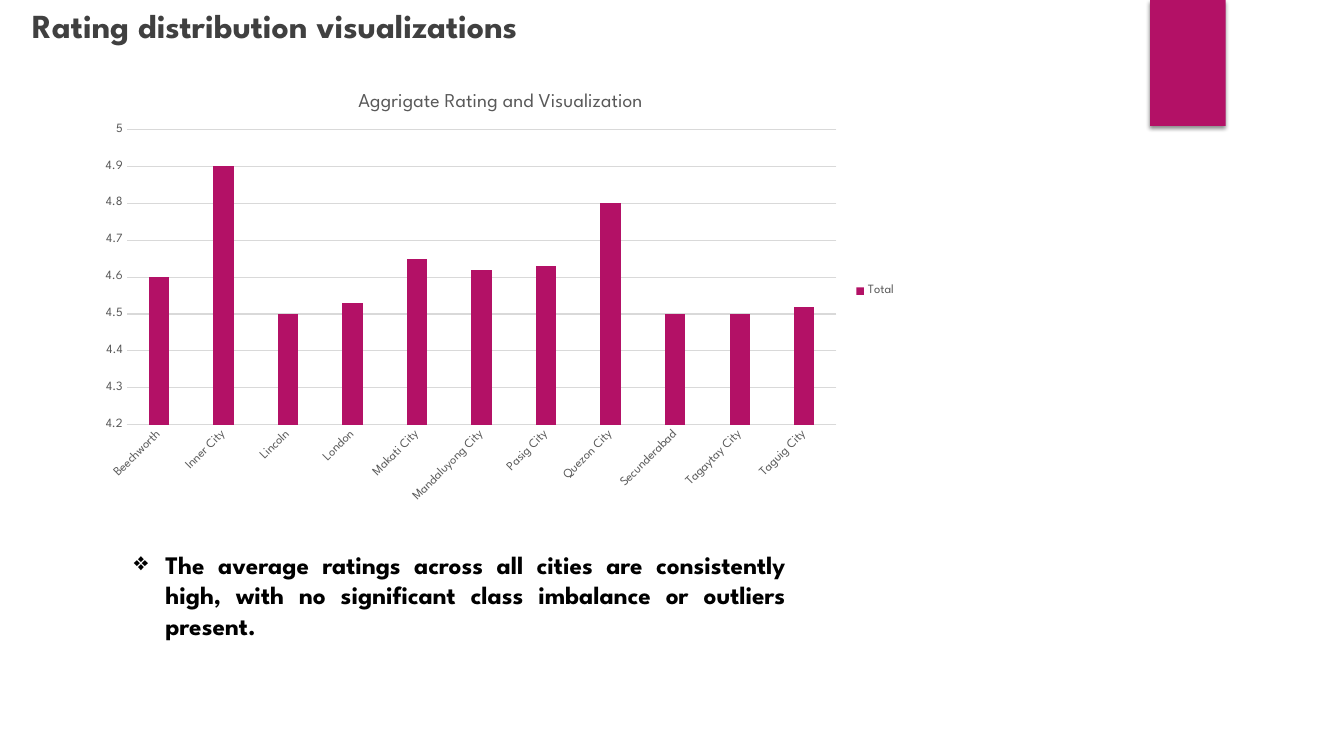
from lxml import etree
from pptx import Presentation
from pptx.chart.data import CategoryChartData
from pptx.dml.color import RGBColor
from pptx.enum.chart import XL_CHART_TYPE, XL_LEGEND_POSITION, XL_TICK_MARK
from pptx.enum.dml import MSO_PATTERN
from pptx.enum.shapes import MSO_SHAPE
from pptx.enum.text import PP_ALIGN
from pptx.oxml import parse_xml
from pptx.oxml.ns import nsdecls, qn
from pptx.util import Pt

RECT = MSO_SHAPE.RECTANGLE
COLUMN = XL_CHART_TYPE.COLUMN_CLUSTERED
RIGHT = XL_LEGEND_POSITION.RIGHT
NO_TICK = XL_TICK_MARK.NONE
DIAGONAL = MSO_PATTERN.DARK_UPWARD_DIAGONAL
JUSTIFY = PP_ALIGN.JUSTIFY

COLORS = {"accent": "B31166", "dark": "404040", "mid": "808080",
          "label": "595959", "grid": "D9D9D9", "black": "000000"}
RGB = {name: RGBColor.from_string(value) for name, value in COLORS.items()}
FACE = "League Spartan"

RATINGS = {
    "Beechworth": 4.6, "Inner City": 4.9, "Lincoln": 4.5, "London": 4.53,
    "Makati City": 4.65, "Mandaluyong City": 4.62, "Pasig City": 4.63,
    "Quezon City": 4.8, "Secunderabad": 4.5, "Tagaytay City": 4.5,
    "Taguig City": 4.52,
}


def style(font, size, color, bold=False):
    for key, value in {"name": FACE, "size": Pt(size), "bold": bold}.items():
        setattr(font, key, value)
    font.color.rgb = RGB[color]


def place(node, mode, box):
    old = node.find(qn("c:layout"))
    if old is not None:
        node.remove(old)
    layout = etree.Element(qn("c:layout"))
    manual = etree.SubElement(layout, qn("c:manualLayout"))
    if mode:
        etree.SubElement(manual, qn("c:layoutTarget"), val=mode)
    for axis in "xy":
        etree.SubElement(manual, qn(f"c:{axis}Mode"), val="edge")
    for key, part, whole in zip("xywh", box, (WIDTH, HEIGHT) * 2):
        etree.SubElement(manual, qn(f"c:{key}"), val=f"{part / whole:.4f}")
    text = node.find(qn("c:tx"))
    if text is None:
        node.insert(0, layout)
    else:
        text.addnext(layout)


deck = Presentation()
deck.slide_width, deck.slide_height = Pt(960), Pt(540)
slide = deck.slides.add_slide(deck.slide_layouts[6])
shapes = slide.shapes

tab = shapes.add_shape(RECT, Pt(821.5), Pt(0), Pt(54), Pt(90))
tab.shadow.inherit = False
tab.fill.solid()
tab.fill.fore_color.rgb = RGB["accent"]
tab.line.fill.background()
effects = tab._element.spPr.find(qn("a:effectLst"))
effects.append(parse_xml(
    f'<a:outerShdw {nsdecls("a")} blurRad="{Pt(3)}" dist="{Pt(2)}" '
    f'dir="5400000" rotWithShape="0"><a:srgbClr val="{COLORS["black"]}">'
    '<a:alpha val="45000"/></a:srgbClr></a:outerShdw>'))

head = shapes.add_textbox(Pt(10), Pt(0), Pt(485), Pt(36)).text_frame
head.word_wrap = True
head.margin_left = Pt(13)
title = head.paragraphs[0].add_run()
title.text = "Rating distribution visualizations"
style(title.font, 24, "dark", True)
fill = title.font.fill
fill.patterned()
fill.pattern = DIAGONAL
fill.fore_color.rgb = RGB["mid"]
fill.back_color.rgb = RGB["dark"]

WIDTH, HEIGHT = 584, 315
data = CategoryChartData()
data.categories = RATINGS.keys()
data.add_series("Total", RATINGS.values())
chart = shapes.add_chart(COLUMN, Pt(63.5), Pt(50.5), Pt(WIDTH), Pt(HEIGHT), data).chart
style(chart.font, 10, "black")

chart.has_title = True
caption = chart.chart_title.text_frame.paragraphs[0].add_run()
caption.text = "Aggrigate Rating and Visualization"
style(caption.font, 14, "label")
place(chart.chart_title._element, None, (190, 12))
place(chart._chartSpace.chart.plotArea, "inner", (27, 42, 507, 211))

chart.has_legend = True
legend = chart.legend
legend.position = RIGHT
legend.include_in_layout = False
style(legend.font, 9, "label")

plot = chart.plots[0]
for key, value in {"gap_width": 219, "overlap": -27, "vary_by_categories": False}.items():
    setattr(plot, key, value)
bars = plot.series[0]
bars.invert_if_negative = False
bars.format.fill.solid()
bars.format.fill.fore_color.rgb = RGB["accent"]

cities, scores = chart.category_axis, chart.value_axis
for axis in (cities, scores):
    axis.major_tick_mark = axis.minor_tick_mark = NO_TICK
    style(axis.tick_labels.font, 9, "label")
for key, value in {"minimum_scale": 4.2, "maximum_scale": 5, "major_unit": 0.1}.items():
    setattr(scores, key, value)
scores.format.line.fill.background()
for line in (cities.format.line, scores.major_gridlines.format.line):
    line.width = Pt(0.75)
    line.color.rgb = RGB["grid"]
cities._element.find(qn("c:txPr")).find(qn("a:bodyPr")).set("rot", "-2700000")

note = shapes.add_textbox(Pt(88.5), Pt(389), Pt(480), Pt(73)).text_frame
note.word_wrap = True
point = note.paragraphs[0]
point.alignment = JUSTIFY
props = point._p.get_or_add_pPr()
props.set("marL", str(Pt(22.5)))
props.set("indent", str(Pt(-22.5)))
etree.SubElement(props, qn("a:buChar"), char="❖")
claim = point.add_run()
claim.text = ("The average ratings across all cities are consistently high, "
              "with no significant class imbalance or outliers present.")
style(claim.font, 18, "black", True)

deck.save("out.pptx")
